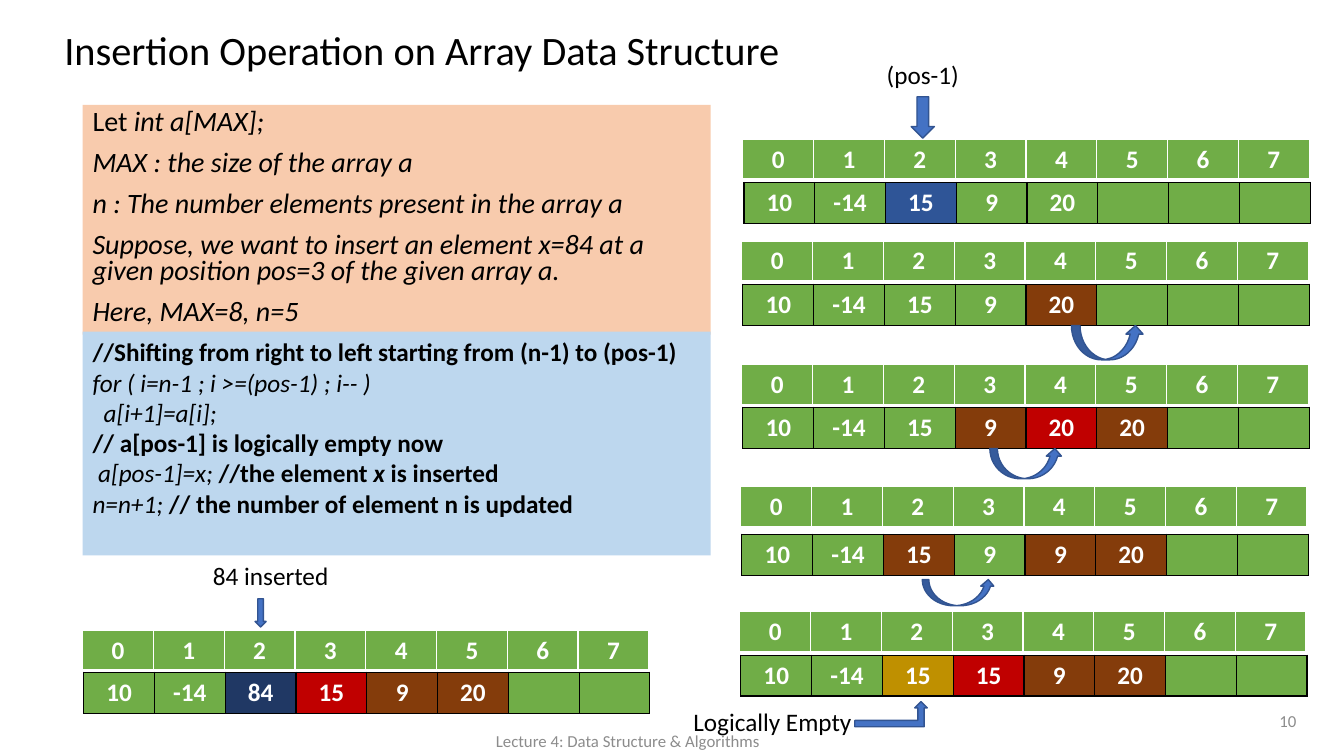
import pptx
import pptx.util
import pptx.dml.color
import pptx.enum.shapes
import pptx.enum.text
import pptx.oxml.ns
import lxml.etree

RGBColor = pptx.dml.color.RGBColor
Shape = pptx.enum.shapes.MSO_SHAPE
Align = pptx.enum.text.PP_ALIGN
Anchor = pptx.enum.text.MSO_ANCHOR
Pt = pptx.util.Pt

BLACK = RGBColor(0x00, 0x00, 0x00)
WHITE = RGBColor(0xFF, 0xFF, 0xFF)
GRAY = RGBColor(0x8C, 0x8C, 0x8C)
PEACH = RGBColor(0xF8, 0xCB, 0xAD)
PALE_BLUE = RGBColor(0xBD, 0xD7, 0xEE)
GREEN = RGBColor(0x70, 0xAD, 0x47)
BROWN = RGBColor(0x84, 0x3C, 0x0B)
RED = RGBColor(0xC0, 0x00, 0x00)
GOLD = RGBColor(0xBF, 0x90, 0x00)
BLUE = RGBColor(0x2F, 0x55, 0x97)
NAVY = RGBColor(0x20, 0x38, 0x64)
ARROW_FILL = RGBColor(0x44, 0x72, 0xC4)
ARROW_LINE = RGBColor(0x32, 0x54, 0x91)

FONT = "Calibri"
# The page is a grid of 160 columns by 90 rows
SLIDE_WIDTH, SLIDE_HEIGHT = pptx.util.Inches(13.33), pptx.util.Inches(7.5)
COLUMNS, ROWS = 160, 90
ARRAY_SIZE = 8
CELL_COLUMNS, CELL_ROWS = 8.43, 4.87

# Left, index top, values top, values, highlighted cells
ARRAY_STATES = [
    (88.44, 16.56, 21.72, [10, -14, 15, 9, 20], {2: BLUE}),
    (88.32, 28.68, 33.84, [10, -14, 15, 9, 20], {4: BROWN}),
    (88.32, 43.44, 48.48, [10, -14, 15, 9, 20, 20], {3: BROWN, 4: RED, 5: BROWN}),
    (88.2, 57.96, 63.6, [10, -14, 15, 9, 9, 20], {2: BROWN, 4: BROWN, 5: BROWN}),
    (88.08, 72.84, 78, [10, -14, 15, 15, 9, 20],
     {2: GOLD, 3: RED, 4: BROWN, 5: BROWN}),
    (9.84, 75, 80.04, [10, -14, 84, 15, 9, 20],
     {2: NAVY, 3: RED, 4: BROWN, 5: BROWN}),
]

ARROWS = [
    (Shape.DOWN_ARROW, 108.48, 11.52, 2.76, 4.92),
    (Shape.CURVED_UP_ARROW, 127.56, 38.76, 8.64, 4.08),
    (Shape.CURVED_UP_ARROW, 117.84, 53.4, 8.64, 3.6),
    (Shape.CURVED_UP_ARROW, 109.8, 69, 8.64, 3.12),
    (Shape.DOWN_ARROW, 30.36, 71.28, 1.32, 3.36),
    (Shape.BENT_UP_ARROW, 101.76, 83.52, 8.64, 3),
]

# Each line is an indent in points and spans of (text, style): b bold, i italic
SETUP_LINES = [
    (0, [("Let ", ""), ("int a[MAX];", "i")]),
    (0, [("MAX : the size of the array a", "i")]),
    (0, [("n : The number elements present in the array a", "i")]),
    (0, [("Suppose, we want to insert an element x=84 at a given position "
          "pos=3 of the given array a.", "i")]),
    (0, [("Here, MAX=8, n=5", "i")]),
]
CODE_LINES = [
    (0, [("//Shifting from right to left starting from (n-1) to (pos-1)", "b")]),
    (0, [("for ( i=n-1 ; i >=(pos-1) ; i-- )", "i")]),
    (8, [("a[i+1]=a[i];", "i")]),
    (0, [("// a[pos-1] is logically empty now", "b")]),
    (4, [("a[pos-1]=x; ", "i"), ("//the element ", "b"), ("x", "bi"),
         (" is inserted", "b")]),
    (0, [("n=n+1; ", "i"), ("// the number of element n is updated", "b")]),
]


def grid(left, top, width, height):
    """Turn columns and rows into slide lengths."""
    column, row = SLIDE_WIDTH / COLUMNS, SLIDE_HEIGHT / ROWS
    return [round(left * column), round(top * row),
            round(width * column), round(height * row)]


def add_span(para, text, size, color, style=""):
    span = para.add_run()
    span.text = text
    span.font.name = FONT
    span.font.size = Pt(size)
    span.font.color.rgb = color
    span.font.bold = "b" in style
    span.font.italic = "i" in style


def add_label(page, place, text, size=18, color=BLACK, align=Align.CENTER,
              anchor=Anchor.TOP):
    box = page.shapes.add_textbox(*grid(*place))
    frame = box.text_frame
    frame.word_wrap = True
    frame.vertical_anchor = anchor
    para = frame.paragraphs[0]
    para.alignment = align
    add_span(para, text, size, color)
    return frame


def add_panel(page, place, fill, lines, size, line_spacing=1.0, space_before=0):
    panel = page.shapes.add_shape(Shape.RECTANGLE, *grid(*place))
    panel.shadow.inherit = False
    panel.fill.solid()
    panel.fill.fore_color.rgb = fill
    panel.line.fill.background()
    frame = panel.text_frame
    frame.word_wrap = True
    frame.vertical_anchor = Anchor.TOP
    for number, (indent, spans) in enumerate(lines):
        para = frame.add_paragraph() if number else frame.paragraphs[0]
        para.alignment = Align.LEFT
        para.line_spacing = line_spacing
        para.space_before = Pt(space_before)
        para._p.get_or_add_pPr().set("marL", str(Pt(indent)))
        for text, style in spans:
            add_span(para, text, size, BLACK, style)


def add_arrow(page, kind, *place):
    arrow = page.shapes.add_shape(kind, *grid(*place))
    arrow.shadow.inherit = False
    arrow.fill.solid()
    arrow.fill.fore_color.rgb = ARROW_FILL
    arrow.line.color.rgb = ARROW_LINE
    arrow.line.width = Pt(1)


def set_borders(cell, color, bottom_width):
    properties = cell._tc.get_or_add_tcPr()
    name = pptx.oxml.ns.qn
    for position, side in enumerate("LRTB"):
        line = lxml.etree.Element(name("a:ln" + side))
        line.set("w", str(Pt(bottom_width if side == "B" else 1)))
        fill = lxml.etree.SubElement(line, name("a:solidFill"))
        lxml.etree.SubElement(fill, name("a:srgbClr")).set("val", str(color))
        properties.insert(position, line)


def add_array_row(page, left, top, values, highlights, border, bottom_width):
    place = grid(left, top, CELL_COLUMNS * ARRAY_SIZE, CELL_ROWS)
    table = page.shapes.add_table(1, ARRAY_SIZE, *place).table
    table.first_row = False
    table.horz_banding = False
    for index in range(ARRAY_SIZE):
        cell = table.cell(0, index)
        cell.fill.solid()
        cell.fill.fore_color.rgb = highlights.get(index, GREEN)
        set_borders(cell, border, bottom_width)
        if index < len(values):
            para = cell.text_frame.paragraphs[0]
            para.alignment = Align.CENTER
            add_span(para, str(values[index]), 18, WHITE, "b")


def main():
    deck = pptx.Presentation()
    deck.slide_width, deck.slide_height = SLIDE_WIDTH, SLIDE_HEIGHT
    page = deck.slides.add_slide(deck.slide_layouts[6])

    # Setup panel and title
    add_panel(page, (9.84, 12.48, 74.76, 27.36), PEACH, SETUP_LINES, 20, 0.8, 10)
    title = add_label(page, (6.48, 3.6, 92.88, 7.68),
                      "Insertion Operation on Array Data Structure", 28.8,
                      align=Align.LEFT)
    title.margin_top = 0
    title.paragraphs[0].line_spacing = 0.9

    # Array states: an index row above a value row
    for left, index_top, value_top, values, highlights in ARRAY_STATES:
        add_array_row(page, left, index_top, range(ARRAY_SIZE), {}, WHITE, 3)
        add_array_row(page, left + 0.12, value_top, values, highlights, BLACK, 1)

    # Arrows and their labels
    for arrow in ARROWS:
        add_arrow(page, *arrow)
    add_label(page, (101.16, 6.48, 17.4, 4.8), "(pos-1)")
    add_label(page, (81.36, 83.52, 23.16, 4.8), "Logically Empty", align=Align.LEFT)
    add_label(page, (20.64, 66.12, 23.16, 4.8), "84 inserted")

    # Code panel
    add_panel(page, (9.84, 39.48, 74.76, 26.64), PALE_BLUE, CODE_LINES, 18)

    # Footer and page number
    add_label(page, (47.76, 85.8, 54, 4.8), "Lecture 4: Data Structure & Algorithms",
              12, GRAY, anchor=Anchor.MIDDLE)
    add_label(page, (119.52, 83.4, 36, 4.8), "10", 12, GRAY, Align.RIGHT,
              Anchor.MIDDLE)

    deck.save("out.pptx")


if __name__ == "__main__":
    main()
